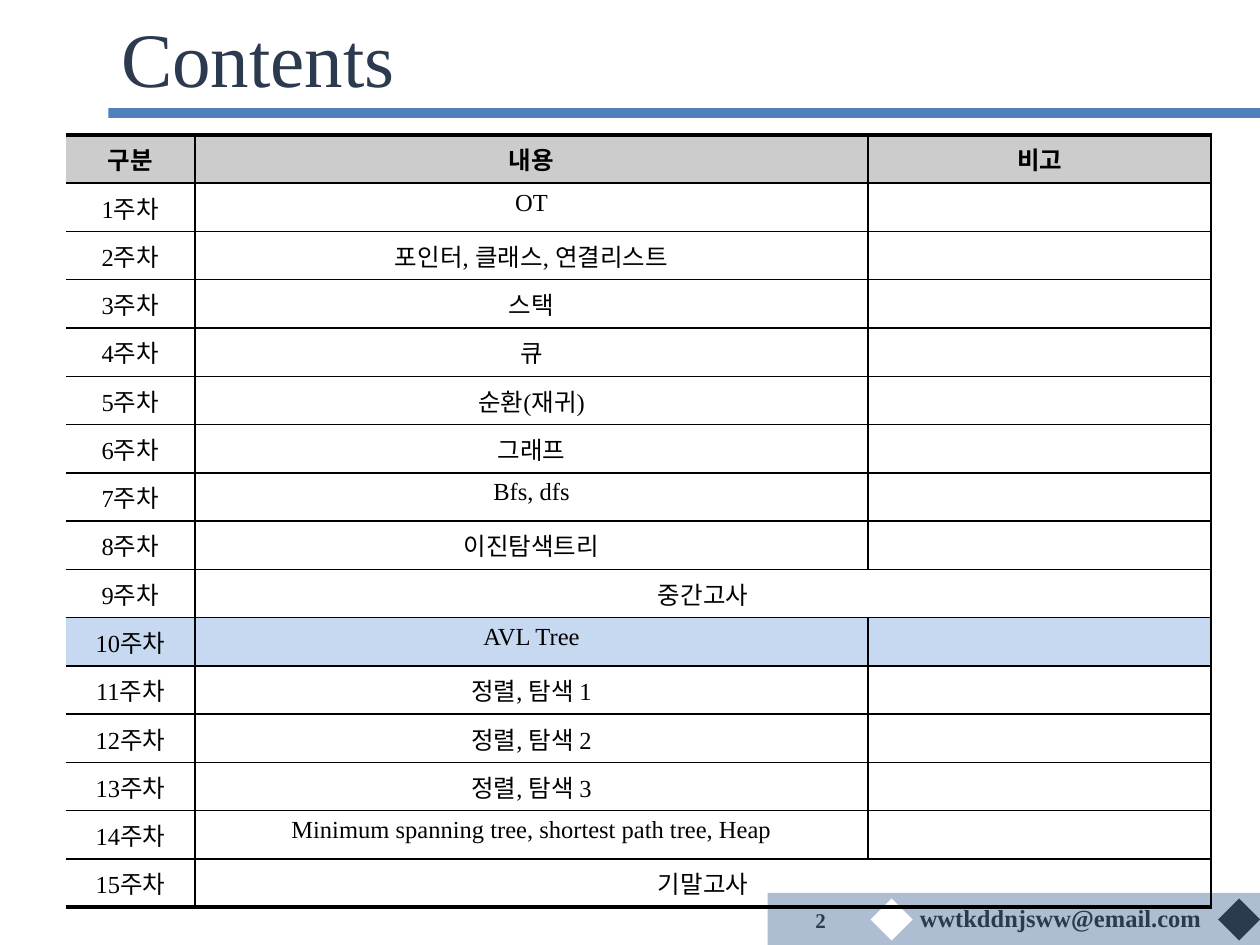
from dataclasses import dataclass

from lxml.etree import SubElement
from pptx import Presentation
from pptx.dml.color import RGBColor
from pptx.enum.shapes import MSO_SHAPE
from pptx.enum.text import MSO_ANCHOR, PP_ALIGN
from pptx.oxml.ns import qn
from pptx.util import Pt

FONT = "Times New Roman"
COLORS = {
    "navy": "2C3A50",
    "blue": "4F81BD",
    "footer": "788FB4",
    "white": "FFFFFF",
    "black": "000000",
    "header": "CCCCCC",
    "current": "C6D9F1",
}
TOPICS = [
    "OT", "포인터, 클래스, 연결리스트", "스택", "큐", "순환(재귀)", "그래프",
    "Bfs, dfs", "이진탐색트리", "중간고사", "AVL Tree", "정렬, 탐색 1",
    "정렬, 탐색 2", "정렬, 탐색 3",
    "Minimum spanning tree, shortest path tree, Heap", "기말고사",
]
EXAM_WEEKS = (9, 15)
CURRENT_WEEK = 10
COL_WIDTHS = (73.7, 384.7, 196.1)
ROW_HEIGHT = 27.6
TABLE_SIZE = 14


@dataclass
class Block:
    left: float
    top: float
    width: float
    height: float
    color: str
    rotation: float = 0
    alpha: int = 100


@dataclass
class Label:
    text: str
    left: float
    top: float
    width: float
    height: float
    size: float
    align: PP_ALIGN = PP_ALIGN.LEFT
    anchor: MSO_ANCHOR = MSO_ANCHOR.TOP
    wrap: bool = True


BLOCKS = [
    Block(62, 61.8, 658, 5.6, "blue"),
    Block(438.7, 510.3, 281.3, 30, "footer", alpha=59),
    Block(699.6, 517, 17, 17, "navy", rotation=45),
    Block(501, 517, 17, 17, "white", rotation=45),
]
LABELS = [
    Label("wwtkddnjsww@email.com", 518.5, 512.5, 177, 24.2, 14, wrap=False),
    Label("2", 445, 513.7, 34, 24.2, 12, PP_ALIGN.RIGHT, MSO_ANCHOR.MIDDLE),
]


def rgb(name: str) -> RGBColor:
    return RGBColor.from_string(COLORS[name])


def write(p, text: str, size: float, color: str, align: PP_ALIGN, bold: bool = False) -> None:
    p.alignment = align
    r = p.add_run()
    r.text = text
    r.font.name = FONT
    r.font.size = Pt(size)
    r.font.bold = bold
    r.font.color.rgb = rgb(color)


def add_block(s, b: Block) -> None:
    sp = s.shapes.add_shape(MSO_SHAPE.RECTANGLE, Pt(b.left), Pt(b.top), Pt(b.width), Pt(b.height))
    sp.shadow.inherit = False
    sp.rotation = b.rotation
    sp.fill.solid()
    sp.fill.fore_color.rgb = rgb(b.color)
    sp.line.fill.background()
    if b.alpha < 100:
        clr = sp.fill._xPr.find(qn("a:solidFill"))[0]
        SubElement(clr, qn("a:alpha"), val=str(b.alpha * 1000))


def add_label(s, lb: Label) -> None:
    sp = s.shapes.add_textbox(Pt(lb.left), Pt(lb.top), Pt(lb.width), Pt(lb.height))
    tf = sp.text_frame
    tf.word_wrap = lb.wrap
    tf.vertical_anchor = lb.anchor
    write(tf.paragraphs[0], lb.text, lb.size, "navy", lb.align, bold=True)


def set_borders(cell, widths: dict[str, float]) -> None:
    """Draw each side (L, R, T, B) in black; a width of 0 hides it."""
    tcPr = cell._tc.get_or_add_tcPr()
    for side, width in widths.items():
        ln = SubElement(tcPr, qn(f"a:ln{side}"), w=str(int(Pt(width))))
        if width:
            fill = SubElement(ln, qn("a:solidFill"))
            SubElement(fill, qn("a:srgbClr"), val=COLORS["black"])
        else:
            SubElement(ln, qn("a:noFill"))


def add_schedule(s) -> None:
    rows = [("구분", "내용", "비고")]
    rows += [(f"{week}주차", topic, "") for week, topic in enumerate(TOPICS, 1)]
    last = len(rows) - 1
    table = s.shapes.add_table(len(rows), len(COL_WIDTHS), Pt(37.7), Pt(77.1),
                               Pt(sum(COL_WIDTHS)), Pt(ROW_HEIGHT * len(rows))).table
    table.first_row = table.horz_banding = False
    for col, width in zip(table.columns, COL_WIDTHS):
        col.width = Pt(width)
    fills = {0: "header", CURRENT_WEEK: "current"}
    for i, texts in enumerate(rows):
        table.rows[i].height = Pt(ROW_HEIGHT)
        for j, text in enumerate(texts):
            cell = table.cell(i, j)
            set_borders(cell, {"L": 1 if j else 0, "R": 1,
                               "T": 2.25 if i == 0 else 1,
                               "B": 2.25 if i == last else 1})
            if i in fills:
                cell.fill.solid()
                cell.fill.fore_color.rgb = rgb(fills[i])
            else:
                cell.fill.background()
            p = cell.text_frame.paragraphs[0]
            if text:
                write(p, text, TABLE_SIZE, "black", PP_ALIGN.CENTER, bold=i == 0)
            else:
                # The end mark sets the line height of an empty cell.
                SubElement(p._p, qn("a:endParaRPr"), sz=str(TABLE_SIZE * 100))
    for week in EXAM_WEEKS:
        table.cell(week, 1).merge(table.cell(week, 2))


def add_title(s, text: str) -> None:
    sp = s.shapes.title
    sp.left, sp.top, sp.width, sp.height = Pt(62), Pt(4.7), Pt(645), Pt(55.4)
    tf = sp.text_frame
    tf.vertical_anchor = MSO_ANCHOR.MIDDLE
    write(tf.paragraphs[0], text, 44, "navy", PP_ALIGN.LEFT)


def main() -> None:
    prs = Presentation()
    prs.slide_width, prs.slide_height = Pt(720), Pt(540)
    s = prs.slides.add_slide(prs.slide_layouts[5])
    for block in BLOCKS:
        add_block(s, block)
    for label in LABELS:
        add_label(s, label)
    add_title(s, "Contents")
    add_schedule(s)
    prs.save("out.pptx")


if __name__ == "__main__":
    main()
